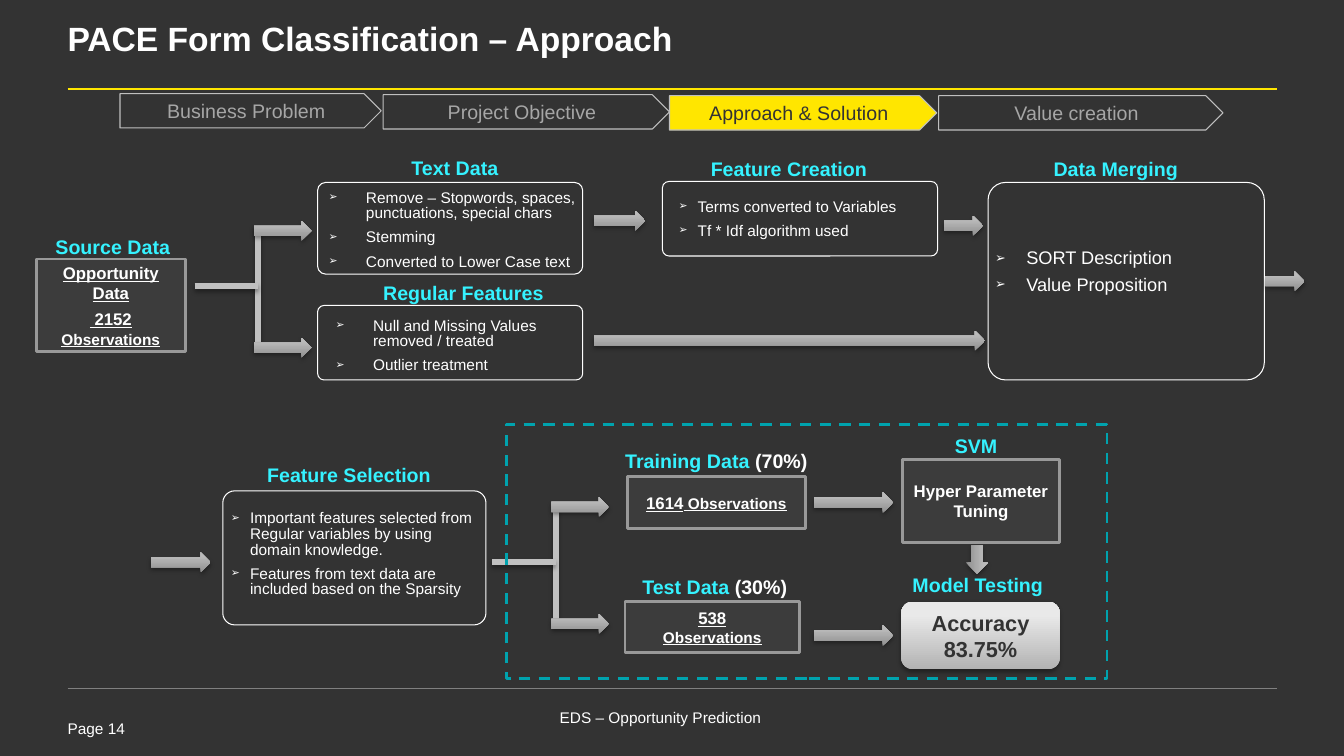
from lxml.etree import SubElement
from pptx import Presentation
from pptx.dml.color import RGBColor
from pptx.enum.dml import MSO_LINE
from pptx.enum.shapes import MSO_CONNECTOR, MSO_SHAPE
from pptx.enum.text import MSO_ANCHOR, PP_ALIGN
from pptx.oxml.ns import qn
from pptx.util import Inches, Pt

BACK = RGBColor(0x33, 0x33, 0x33)
WHITE = RGBColor(0xFF, 0xFF, 0xFF)
YELLOW = RGBColor(0xFF, 0xE6, 0x00)
CYAN = RGBColor(0x35, 0xF2, 0xFF)
TEAL = RGBColor(0x00, 0xA3, 0xAE)
RULE = RGBColor(0x80, 0x80, 0x80)
STAGE_LINE = RGBColor(0xBF, 0xBF, 0xBF)
STAGE_TEXT = RGBColor(0xA6, 0xA6, 0xA6)
BOX_FILL = RGBColor(0x3C, 0x3C, 0x3C)
BOX_LINE = RGBColor(0x99, 0x99, 0x99)
FORK = RGBColor(0xC0, 0xC0, 0xC0)
ARROW_GRAD = RGBColor(0x8F, 0x8F, 0x8F), RGBColor(0xBA, 0xBA, 0xBA)
RESULT_GRAD = RGBColor(0xB3, 0xB3, 0xB3), RGBColor(0xE9, 0xE9, 0xE9)


def write(tf, paras, size=11, color=WHITE, bold=None, underline=None,
          align=None, leading=None, after=None, bullet=None):
    """Fill tf; a paragraph is a string or a list of (text, size, colour) runs."""
    tf.word_wrap = True
    for i, para in enumerate(paras):
        p = tf.paragraphs[0] if i == 0 else tf.add_paragraph()
        p.alignment = align
        if leading:
            p.line_spacing = leading
        if after:
            p.space_after = Pt(after)
        if bullet:
            add_bullet(p, bullet)
        runs = [(para, size, color)] if isinstance(para, str) else para
        for text, run_size, run_color in runs:
            r = p.add_run()
            r.text = text
            r.font.name = "Arial"
            r.font.size = Pt(run_size)
            r.font.bold = bold
            r.font.underline = underline
            r.font.color.rgb = run_color


def add_bullet(p, indent):
    pPr = p._p.get_or_add_pPr()
    pPr.set("marL", str(Inches(indent)))
    pPr.set("indent", str(-Inches(indent)))
    SubElement(SubElement(pPr, qn("a:buClr")), qn("a:srgbClr"), val=str(WHITE))
    SubElement(pPr, qn("a:buSzPct"), val="70000")
    SubElement(pPr, qn("a:buFont"), typeface="Arial")
    SubElement(pPr, qn("a:buChar"), char="➢")


def add_shadow(effects):
    shadow = SubElement(effects, qn("a:outerShdw"), blurRad=str(Pt(3.1)),
                        dist=str(Pt(1.8)), dir="5400000", rotWithShape="0")
    color = SubElement(shadow, qn("a:srgbClr"), val="000000")
    SubElement(color, qn("a:alpha"), val="35000")


def add_text(s, x, y, w, h, paras, top=0, **fmt):
    tf = s.shapes.add_textbox(Inches(x), Inches(y), Inches(w), Inches(h)).text_frame
    tf.margin_left = tf.margin_right = tf.margin_bottom = 0
    tf.margin_top = Inches(top)
    write(tf, paras, **fmt)
    return tf


def add_line(s, x1, y1, x2, y2, color, width, shadow=False):
    line = s.shapes.add_connector(MSO_CONNECTOR.STRAIGHT, Inches(x1), Inches(y1),
                                  Inches(x2), Inches(y2))
    line.line.color.rgb = color
    line.line.width = Pt(width)
    effects = SubElement(line._element.spPr, qn("a:effectLst"))
    if shadow:
        add_shadow(effects)


def add_box(s, kind, x, y, w, h, fill=None, line=None, width=0.75, grad=None):
    """Add a shape; a gradient pair runs from bottom to top and brings a shadow."""
    sp = s.shapes.add_shape(kind, Inches(x), Inches(y), Inches(w), Inches(h))
    if grad:
        sp.fill.gradient()
        sp.fill.gradient_angle = 90
        for stop, color, position in zip(sp.fill.gradient_stops, grad, (0, 0.8)):
            stop.color.rgb = color
            stop.position = position
    elif fill:
        sp.fill.solid()
        sp.fill.fore_color.rgb = fill
    else:
        sp.fill.background()
    if line:
        sp.line.color.rgb = line
        sp.line.width = Pt(width)
    else:
        sp.line.fill.background()
    sp.shadow.inherit = False
    if grad:
        add_shadow(sp._element.spPr.find(qn("a:effectLst")))
    sp.text_frame.vertical_anchor = MSO_ANCHOR.MIDDLE
    return sp


def arrow(s, x, y, w, h=0.2):
    return add_box(s, MSO_SHAPE.RIGHT_ARROW, x, y, w, h, grad=ARROW_GRAD)


def heading(s, x, y, text, w=1.7, share=None):
    runs = [(text, 14, CYAN)] + ([(share, 14, WHITE)] if share else [])
    add_text(s, x, y, w, 0.24, [runs], top=0.04, bold=True, leading=0.85, after=6)


def data_box(s, x, y, w, h, paras, underline=True):
    sp = add_box(s, MSO_SHAPE.RECTANGLE, x, y, w, h, BOX_FILL, BOX_LINE, 2)
    write(sp.text_frame, paras, size=12, bold=True, underline=underline,
          align=PP_ALIGN.CENTER)


def panel(s, x, y, w, h, title, title_at, bullets, text_at, indent=0.37, size=11):
    """Rounded box with a heading and bullets, both offset from its corner."""
    dx, dy = text_at
    add_text(s, x + dx, y + dy, w - dx, h - dy, bullets, top=0.04, size=size,
             leading=0.85, after=6, bullet=indent)
    heading(s, x + title_at[0], y + title_at[1], title)
    sp = add_box(s, MSO_SHAPE.ROUNDED_RECTANGLE, x, y, w, h, line=WHITE)
    sp.adjustments[0] = 0.089


def fork(s, x, y, stem=0.63, spine=1.19):
    """Stem from the left that splits into an upper and a lower arrow."""
    add_line(s, x + stem, y, x + stem, y + spine, FORK, 4.25, shadow=True)
    add_line(s, x, y + 0.59, x + stem, y + 0.59, FORK, 4.25, shadow=True)
    for dy in (-0.06, spine - 0.09):
        arrow(s, x + stem - 0.04, y + dy, 0.57)


def frame(s, x, w):
    """Title, rules and footer."""
    add_text(s, x, 7.13, 0.97, 0.22, ["Page 14"])
    add_text(s, x + 4.88, 7.03, 2.52, 0.23, ["EDS – Opportunity Prediction"])
    add_line(s, x, 6.83, x + w, 6.83, RULE, 0.25)
    add_line(s, x, 0.88, x + w, 0.88, YELLOW, 1.5)
    tf = add_text(s, x, -0.09, w, 0.94, ["PACE Form Classification – Approach"],
                  size=24, bold=True)
    tf.vertical_anchor = MSO_ANCHOR.MIDDLE


def stages(s, y, current):
    for text, x, dy, w in (("Business Problem", 1.19, 0, 2.59),
                           ("Project Objective", 3.8, 0.01, 2.84),
                           ("Approach & Solution", 6.64, 0.02, 2.65),
                           ("Value creation", 9.31, 0.02, 2.82)):
        active = text == current
        sp = add_box(s, MSO_SHAPE.PENTAGON, x, y + dy, w, 0.34,
                     YELLOW if active else None, STAGE_LINE)
        write(sp.text_frame, [text], size=14, align=PP_ALIGN.CENTER,
              color=BACK if active else STAGE_TEXT)


def preparation(s, x, y):
    heading(s, x + 0.19, y + 0.78, "Source Data", 1.32)
    data_box(s, x, y + 1.02, 1.48, 0.92, [
        "Opportunity Data",
        [(" 2152", 12, WHITE), (" ", 16, WHITE), ("Observations", 11, WHITE)]])
    fork(s, x + 1.57, y + 0.7)
    panel(s, x + 2.79, y + 0.26, 2.63, 0.91, "Text Data", (0.93, -0.27),
          ["Remove – Stopwords, spaces, punctuations, special chars", "Stemming",
           "Converted to Lower Case text"], (0.11, 0.04))
    panel(s, x + 2.79, y + 1.48, 2.63, 0.74, "Regular Features", (0.65, -0.25),
          ["Null and Missing Values removed / treated", "Outlier treatment"],
          (0.18, 0.09))
    panel(s, x + 6.21, y + 0.25, 2.73, 0.74, "Feature Creation", (0.48, -0.25),
          ["Terms converted to Variables", "Tf * Idf algorithm used"],
          (0.16, 0.14), indent=0.19)
    panel(s, x + 9.44, y + 0.26, 2.74, 1.96, "Data Merging", (0.65, -0.26),
          ["SORT Description", "Value Proposition"], (0.07, 0.63),
          indent=0.31, size=13)
    for dx, dy, w in ((5.53, 0.54, 0.51), (5.53, 1.73, 3.88),
                      (9, 0.59, 0.39), (12.19, 1.14, 0.39)):
        arrow(s, x + dx, y + dy, w)


def selection(s, x, y):
    arrow(s, x, y + 0.61, 0.59)
    panel(s, x + 0.71, y, 2.61, 1.33, "Feature Selection", (0.44, -0.28),
          ["Important features selected from Regular variables by using domain knowledge.",
           "Features from text data are included based on the Sparsity"],
          (0.08, 0.16), indent=0.19)


def modelling(s, x, y, w, h):
    fork(s, x - 0.14, y + 0.78)
    heading(s, x + 1.18, y + 0.24, "Training Data ", 2.15, "(70%)")
    data_box(s, x + 1.2, y + 0.52, 1.77, 0.51,
             [[("1614", 12, WHITE), (" Observations", 11, WHITE)]])
    heading(s, x + 1.35, y + 1.49, "Test Data ", 1.81, "(30%)")
    data_box(s, x + 1.18, y + 1.76, 1.73, 0.5,
             ["538", [("Observations", 11, WHITE)]])
    for dy in (0.67, 1.99):
        arrow(s, x + 3.05, y + dy, 0.79, 0.21)
    heading(s, x + 4.45, y + 0.09, "SVM", 0.51)
    data_box(s, x + 3.93, y + 0.35, 1.56, 0.82, ["Hyper Parameter Tuning"],
             underline=None)
    arrow(s, x + 4.53, y + 1.23, 0.28, 0.22).rotation = 90
    heading(s, x + 4.03, y + 1.47, "Model Testing", 1.81)
    result = add_box(s, MSO_SHAPE.ROUNDED_RECTANGLE, x + 3.92, y + 1.76, 1.57, 0.67,
                     grad=RESULT_GRAD)
    write(result.text_frame, ["Accuracy 83.75%"], size=15.5, color=BACK, bold=True,
          align=PP_ALIGN.CENTER)
    border = add_box(s, MSO_SHAPE.RECTANGLE, x, y, w, h, line=TEAL, width=2)
    border.line.dash_style = MSO_LINE.DASH


def main():
    prs = Presentation()
    prs.slide_width, prs.slide_height = Inches(13.33), Inches(7.5)
    s = prs.slides.add_slide(prs.slide_layouts[6])
    s.background.fill.solid()
    s.background.fill.fore_color.rgb = BACK
    frame(s, 0.67, 12)
    stages(s, 0.93, "Approach & Solution")
    preparation(s, 0.36, 1.55)
    selection(s, 1.5, 4.87)
    modelling(s, 5.02, 4.21, 5.96, 2.52)
    prs.save("out.pptx")


if __name__ == "__main__":
    main()
